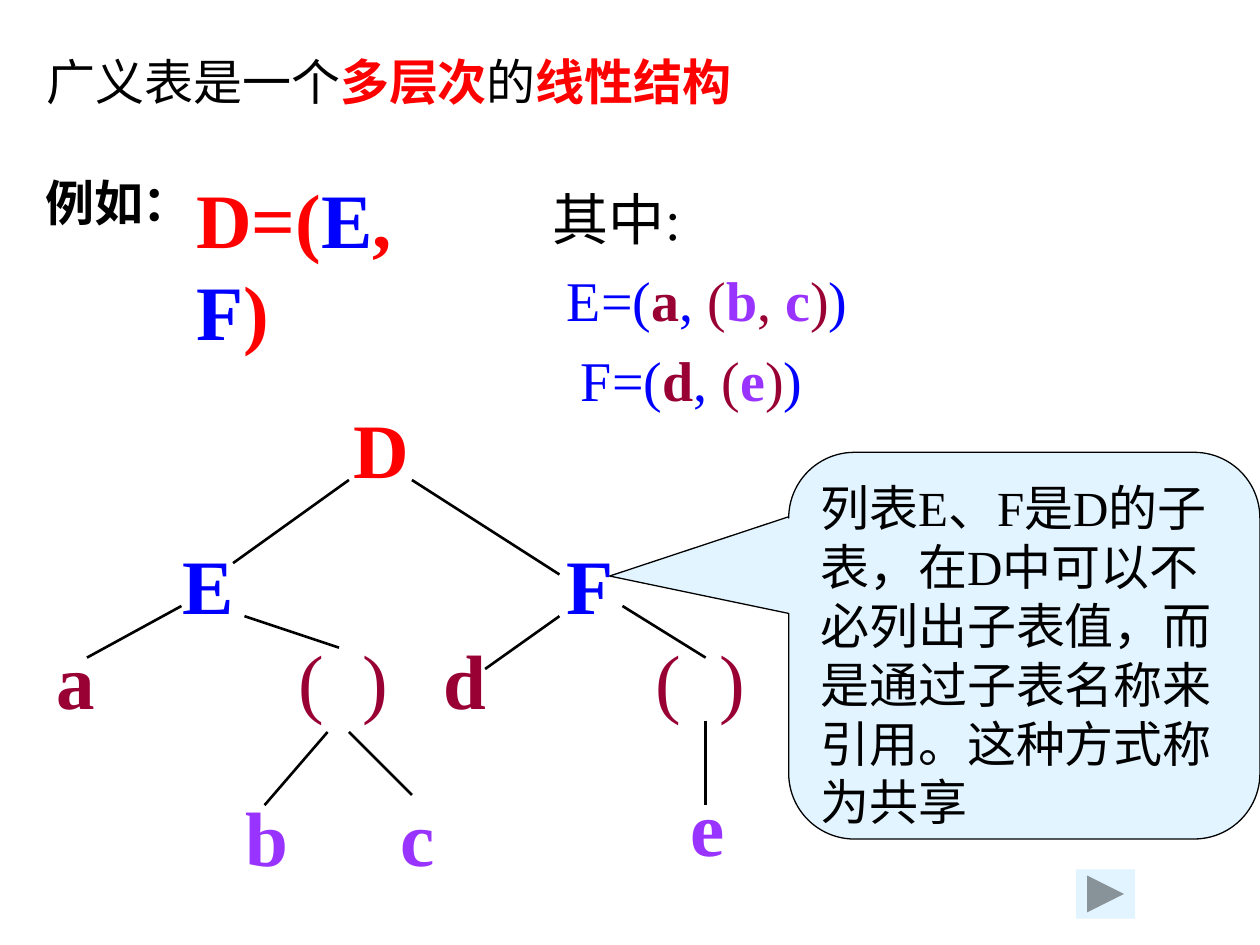
import pptx
import pptx.dml.color
import pptx.enum.shapes
import pptx.enum.text
import pptx.oxml
import pptx.util

Pt = pptx.util.Pt
RGB = pptx.dml.color.RGBColor
Kind = pptx.enum.shapes.MSO_SHAPE
Text = pptx.enum.text

BLACK = RGB(0x00, 0x00, 0x00)
RED = RGB(0xFF, 0x00, 0x00)
BLUE = RGB(0x00, 0x00, 0xFF)
WINE = RGB(0x99, 0x00, 0x33)
VIOLET = RGB(0x99, 0x33, 0xFF)
PALE = RGB(0xE1, 0xF4, 0xFF)


def write(para, text, *, size, color=BLACK, bold=False, font="Times New Roman"):
    """Add one formatted run to a paragraph."""
    run = para.add_run()
    run.text = text
    run.font.name = font
    run.font.size = Pt(size)
    run.font.bold = bold
    run.font.color.rgb = color


class Board:
    """The current slide and its style."""

    body = 28
    list_size = 32
    big = 44
    rule = 1.5

    def __init__(self, slide):
        self.slide = slide
        self.shapes = slide.shapes

    def fill_text(self, shape, lines, size, wrap=False, space=None, step=0):
        """Write lines of (text, colour, bold) runs, each indented one step more."""
        frame = shape.text_frame
        frame.word_wrap = wrap
        frame.vertical_anchor = Text.MSO_ANCHOR.TOP
        for i, runs in enumerate(lines):
            para = frame.paragraphs[0] if i == 0 else frame.add_paragraph()
            para.alignment = Text.PP_ALIGN.LEFT
            para.line_spacing = space
            if i and step:
                props = para._p.get_or_add_pPr()
                props.set("marL", str(Pt(step * i)))
                props.set("indent", "0")
            for text, color, bold in runs:
                write(para, text, size=size, color=color, bold=bold)

    def title(self, runs, left, top, width, height):
        shape = self.shapes.title
        shape.left, shape.top = Pt(left), Pt(top)
        shape.width, shape.height = Pt(width), Pt(height)
        shape.text_frame.auto_size = Text.MSO_AUTO_SIZE.SHAPE_TO_FIT_TEXT
        self.fill_text(shape, [runs], self.body)

    def text(self, lines, left, top, width, height, size, **style):
        box = self.shapes.add_textbox(Pt(left), Pt(top), Pt(width), Pt(height))
        box.text_frame.auto_size = Text.MSO_AUTO_SIZE.SHAPE_TO_FIT_TEXT
        self.fill_text(box, lines, size, **style)

    def node(self, label, left, top, width, color, bold=True):
        self.text([[(label, color, bold)]], left, top, width, 60, self.big)

    def edge(self, x1, y1, x2, y2):
        line = self.shapes.add_connector(
            pptx.enum.shapes.MSO_CONNECTOR.STRAIGHT, Pt(x1), Pt(y1), Pt(x2), Pt(y2))
        line.line.color.rgb = BLACK
        line.line.width = Pt(self.rule)
        props = line._element.spPr
        props.append(pptx.oxml.parse_xml(
            '<a:effectLst xmlns:a="http://schemas.openxmlformats.org/drawingml/2006/main"/>'))

    def shape(self, kind, left, top, width, height, border=None):
        shape = self.shapes.add_shape(kind, Pt(left), Pt(top), Pt(width), Pt(height))
        shape.shadow.inherit = False
        shape.fill.solid()
        shape.fill.fore_color.rgb = PALE
        if border:
            shape.line.color.rgb = BLACK
            shape.line.width = Pt(border)
        else:
            shape.line.fill.background()
        return shape

    def callout(self, text, left, top, width, height, adjust):
        shape = self.shape(Kind.ROUNDED_RECTANGULAR_CALLOUT,
                           left, top, width, height, border=0.75)
        for i, value in enumerate(adjust):
            shape.adjustments[i] = value
        self.fill_text(shape, [[(text, BLACK, False)]], self.body, wrap=True)


def main():
    deck = pptx.Presentation()
    deck.slide_width, deck.slide_height = Pt(720), Pt(540)
    board = Board(deck.slides.add_slide(deck.slide_layouts[5]))

    # Heading
    board.title([("广义表是一个", BLACK, False), ("多层次", RED, True),
                 ("的", BLACK, False), ("线性结构", RED, True)],
                19.4, 25.9, 407.5, 41)

    # Example and its sublists
    board.text([[("例如：", BLACK, True)]], 18.7, 95, 98.6, 41, board.body)
    board.text([[("D=(", RED, True), ("E", BLUE, True), (", ", RED, True),
                 ("F", BLUE, True), (")", RED, True)]],
               105.1, 94.3, 178.6, 60, board.big)
    board.text([
        [("其中:", BLACK, False)],
        [("E=(", BLUE, False), ("a", WINE, True), (", ", BLUE, False),
         ("(", WINE, False), ("b", VIOLET, True), (", ", WINE, False),
         ("c", VIOLET, True), (")", WINE, False), (")", BLUE, False)],
        [("F=(", BLUE, False), ("d", WINE, True), (",", BLUE, False),
         (" (", WINE, False), ("e", VIOLET, True), (")", WINE, False),
         (")", BLUE, False)],
    ], 308.9, 94.3, 209.5, 145.4, board.list_size, wrap=True, space=1.2, step=8)

    # Tree nodes, level by level
    board.node("D", 195.1, 226.1, 46, RED)
    for label, left, width in (("E", 97.2, 44), ("F", 316.8, 41)):
        board.node(label, left, 303.8, width, BLUE)
    for label, left, width in (("a", 25.2, 36.7), ("d", 246.2, 38.9)):
        board.node(label, left, 357.8, width, WINE)
    for left in (163.4, 367.2):
        board.node("(  )", left, 357.8, 65.5, WINE, bold=False)
    for label, left, top, width in (("b", 133.2, 447.8, 38.9),
                                    ("c", 221.8, 447.8, 33.8),
                                    ("e", 387.4, 442.1, 33.8)):
        board.node(label, left, top, width, VIOLET)

    # Tree edges
    for ends in (
        (199.4, 274.3, 133.2, 321.8),
        (235.4, 274.3, 319.7, 328.3),
        (103.7, 346.3, 49.7, 375.8),
        (139.7, 352.1, 193.7, 370.1),
        (187.2, 418.3, 151.2, 460.1),
        (199.4, 418.3, 235.4, 454.3),
        (319.7, 352.1, 277.2, 382.3),
        (355.7, 346.3, 403.2, 375.8),
        (403.2, 411.8, 403.2, 460.1),
    ):
        board.edge(*ends)

    # Note on sharing, and the forward button
    board.callout("列表E、F是D的子表，在D中可以不必列出子表值，"
                  "而是通过子表名称来引用。这种方式称为共享",
                  450.7, 258.5, 269.3, 221, (-0.88, -0.18, 0.17))
    board.shape(Kind.ACTION_BUTTON_FORWARD_OR_NEXT, 614.9, 496.8, 33.8, 28.1)

    deck.save("out.pptx")


if __name__ == "__main__":
    main()
